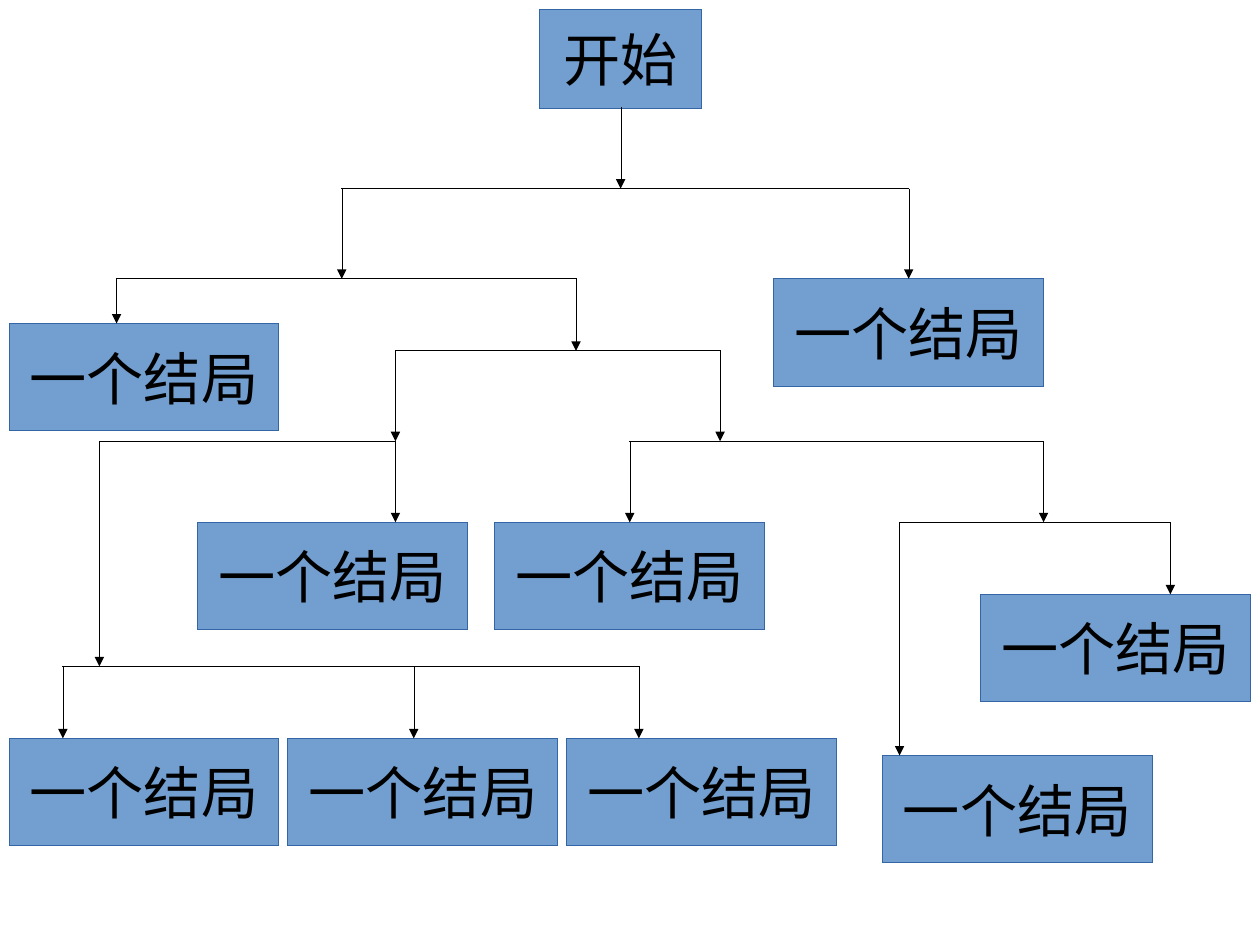
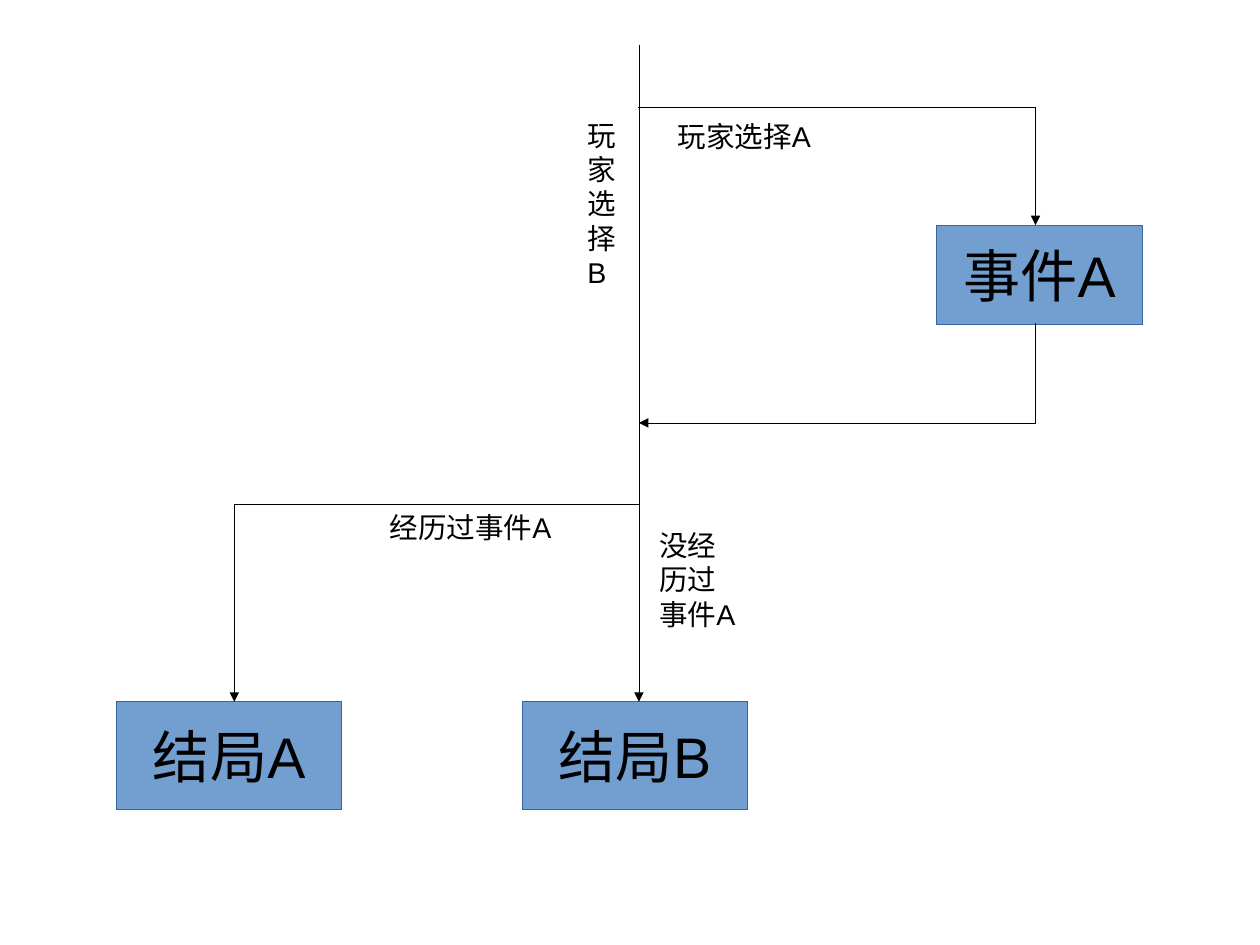
from dataclasses import dataclass

from lxml.etree import SubElement
from pptx import Presentation
from pptx.dml.color import RGBColor
from pptx.enum.shapes import MSO_CONNECTOR, MSO_SHAPE
from pptx.enum.text import MSO_ANCHOR, MSO_AUTO_SIZE, PP_ALIGN
from pptx.oxml.ns import qn
from pptx.shapes.autoshape import Shape
from pptx.shapes.connector import Connector
from pptx.slide import Slide
from pptx.text.text import TextFrame
from pptx.util import Inches, Pt

FILL = RGBColor(0x72, 0x9F, 0xCF)
OUTLINE = RGBColor(0x34, 0x65, 0xA4)
BLACK = RGBColor(0, 0, 0)
FONT = "Arial"
BOX_SIZE = 36
LABEL_SIZE = 18
ENDING = "一个结局"
CM_PER_INCH = 2.54
PAGE_WIDTH = Inches(28 / CM_PER_INCH)
PAGE_HEIGHT = Inches(21 / CM_PER_INCH)


@dataclass
class Box:
    text: str
    x: float
    y: float
    w: float = 2.36
    h: float = 0.94


@dataclass
class Label:
    text: str
    x: float
    y: float
    w: float
    h: float


@dataclass
class Line:
    x1: float
    y1: float
    x2: float
    y2: float
    arrow: bool = False


@dataclass
class Fork:
    y: float
    drops: list[tuple[float, float]]

    def lines(self) -> list[Line]:
        bar = Line(self.drops[0][0], self.y, self.drops[-1][0], self.y)
        return [bar] + [Line(x, self.y, x, end, True) for x, end in self.drops]


TREE_BOXES = [Box("开始", 4.72, 0.08, 1.42, 0.87)] + [
    Box(ENDING, x, y)
    for x, y in [
        (0.08, 2.83), (6.77, 2.44), (1.73, 4.57), (4.33, 4.57), (8.58, 5.2),
        (0.08, 6.46), (2.52, 6.46), (4.96, 6.46), (7.72, 6.61),
    ]
]
TREE_FORKS = [
    Fork(1.65, [(2.99, 2.44), (7.95, 2.44)]),
    Fork(2.44, [(1.02, 2.83), (5.04, 3.07)]),
    Fork(3.07, [(3.46, 3.86), (6.3, 3.86)]),
    Fork(3.86, [(0.87, 5.83), (3.46, 4.57)]),
    Fork(3.86, [(5.51, 4.57), (9.13, 4.57)]),
    Fork(4.57, [(7.87, 6.61), (10.24, 5.2)]),
    Fork(5.83, [(0.55, 6.46), (3.62, 6.46), (5.59, 6.46)]),
]
TREE_LINES = [Line(5.43, 0.94, 5.43, 1.65, True)] + [
    line for fork in TREE_FORKS for line in fork.lines()
]

EVENT_BOXES = [
    Box("事件A", 8.19, 1.97, 1.81, 0.87),
    Box("结局A", 1.02, 6.14, 1.97),
    Box("结局B", 4.57, 6.14, 1.97),
]
EVENT_LINES = [
    Line(5.59, 0.39, 5.59, 6.14, True),
    Line(5.59, 0.94, 9.06, 0.94),
    Line(9.06, 0.94, 9.06, 1.97, True),
    Line(9.06, 2.83, 9.06, 3.7),
    Line(9.06, 3.7, 5.59, 3.7, True),
    Line(5.59, 4.41, 2.05, 4.41),
    Line(2.05, 4.41, 2.05, 6.14, True),
]
EVENT_LABELS = [
    Label("玩家选择A", 5.83, 0.99, 1.57, 0.46),
    Label("玩家选择B", 5.04, 0.98, 0.47, 1.83),
    Label("经历过事件A", 3.31, 4.41, 1.89, 0.46),
    Label("没经历过事件A", 5.67, 4.57, 0.87, 2.36),
]


def set_hairline(sp: Shape | Connector, color: RGBColor) -> None:
    sp.line.color.rgb = color
    sp._element.spPr.get_or_add_ln().set("w", "0")


def write(tf: TextFrame, text: str, size: int, align: PP_ALIGN) -> None:
    p = tf.paragraphs[0]
    p.text = text
    p.alignment = align
    p.font.name = FONT
    p.font.size = Pt(size)
    p.font.color.rgb = BLACK


def draw_box(s: Slide, box: Box) -> None:
    sp = s.shapes.add_shape(
        MSO_SHAPE.RECTANGLE, Inches(box.x), Inches(box.y), Inches(box.w), Inches(box.h)
    )
    sp.shadow.inherit = False
    sp.fill.solid()
    sp.fill.fore_color.rgb = FILL
    set_hairline(sp, OUTLINE)
    tf = sp.text_frame
    tf.word_wrap = False
    tf.vertical_anchor = MSO_ANCHOR.MIDDLE
    write(tf, box.text, BOX_SIZE, PP_ALIGN.CENTER)


def draw_line(s: Slide, line: Line) -> None:
    cxn = s.shapes.add_connector(
        MSO_CONNECTOR.STRAIGHT,
        Inches(line.x1), Inches(line.y1), Inches(line.x2), Inches(line.y2),
    )
    set_hairline(cxn, BLACK)
    sp_pr = cxn._element.spPr
    if line.arrow:
        SubElement(sp_pr.get_or_add_ln(), qn("a:tailEnd"), type="triangle")
    SubElement(sp_pr, qn("a:effectLst"))


def draw_label(s: Slide, label: Label) -> None:
    sp = s.shapes.add_textbox(
        Inches(label.x), Inches(label.y), Inches(label.w), Inches(label.h)
    )
    tf = sp.text_frame
    tf.word_wrap = True
    tf.auto_size = MSO_AUTO_SIZE.SHAPE_TO_FIT_TEXT
    write(tf, label.text, LABEL_SIZE, PP_ALIGN.LEFT)


def add_flowchart(
    prs: Presentation, boxes: list[Box], lines: list[Line], labels: list[Label]
) -> None:
    s = prs.slides.add_slide(prs.slide_layouts[6])
    for box in boxes:
        draw_box(s, box)
    for line in lines:
        draw_line(s, line)
    for label in labels:
        draw_label(s, label)


def main() -> None:
    prs = Presentation()
    prs.slide_width = PAGE_WIDTH
    prs.slide_height = PAGE_HEIGHT
    add_flowchart(prs, TREE_BOXES, TREE_LINES, [])
    add_flowchart(prs, EVENT_BOXES, EVENT_LINES, EVENT_LABELS)
    prs.save("out.pptx")


if __name__ == "__main__":
    main()
